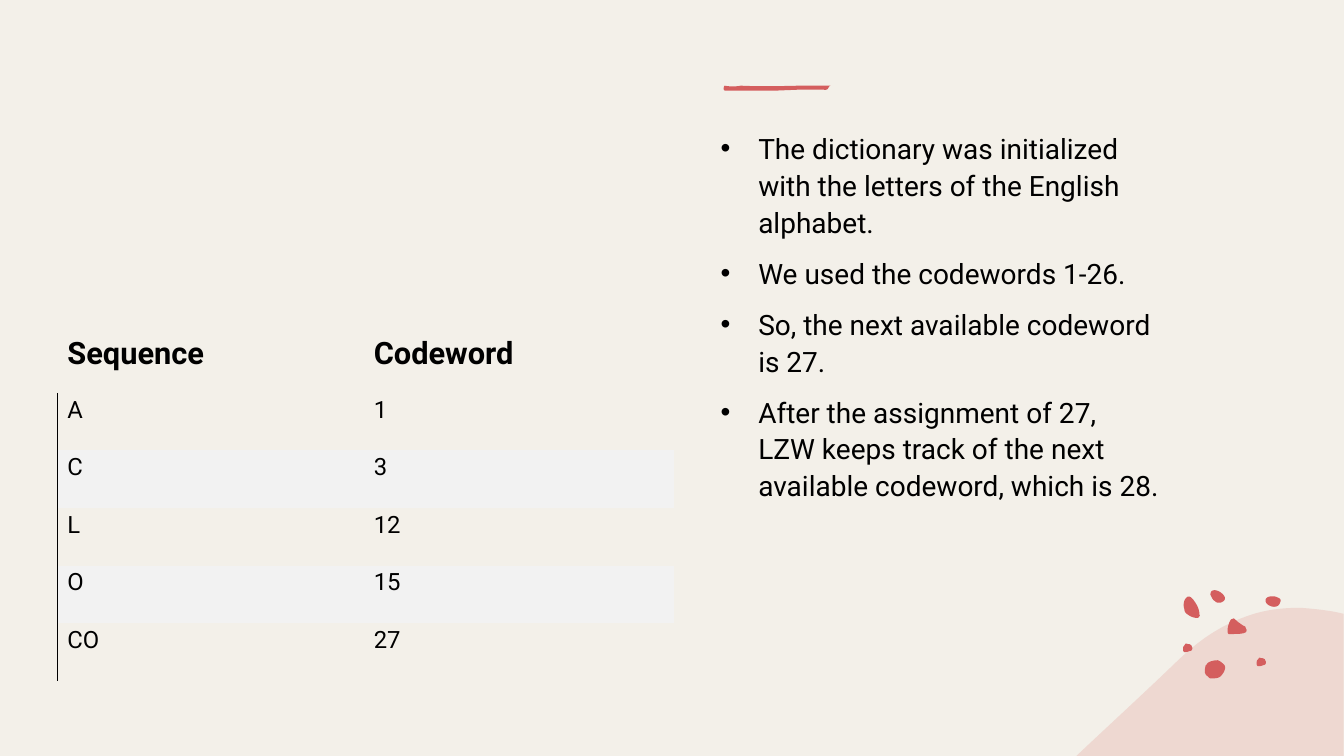
from lxml import etree
from pptx import Presentation
from pptx.dml.color import RGBColor
from pptx.enum.text import MSO_ANCHOR as ANCHOR
from pptx.oxml.ns import qn
from pptx.util import Cm, Pt

# Content
BULLETS = [
    "The dictionary was initialized with the letters of the English alphabet.",
    "We used the codewords 1-26.",
    "So, the next available codeword is 27.",
    "After the assignment of 27, LZW keeps track of the next available codeword, which is 28.",
]
CODEWORDS = [
    ("Sequence", "Codeword"),
    ("A", "1"),
    ("C", "3"),
    ("L", "12"),
    ("O", "15"),
    ("CO", "27"),
]

# Look
FONT = "Roboto"
BLACK = RGBColor(0x00, 0x00, 0x00)
CREAM = RGBColor(0xF3, 0xF0, 0xE9)
CORAL = RGBColor(0xD4, 0x5E, 0x5E)
BLUSH = RGBColor(0xEE, 0xD8, 0xD1)
BAND = RGBColor(0xF2, 0xF2, 0xF2)
NO_STYLE = "{2D5ABB26-0587-4C30-8999-92F81FD0307C}"

# Outlines: a start point, then lines (2 numbers) and Bézier curves (6 numbers)
UNIT = Cm(0.0254)
HILL = [(1290, 603), (1302, 604, 1315, 605, 1329, 608), (1333, 609), (1333, 750),
        (1068, 750), (1069, 749), (1104, 716, 1139, 684, 1170, 654),
        (1193, 632, 1215, 619, 1238, 611), (1255, 605, 1272, 603, 1290, 603)]
UNDERLINE = [(719, 85), (724, 86, 730, 86, 735, 85), (748, 85.5), (771, 85.5), (793, 85),
             (824, 85), (821, 86, 823, 90, 817, 89), (792, 89), (767, 90), (720, 90),
             (717, 90, 718, 86, 719, 85)]
PEBBLES = [
    [(1209, 598), (1210, 598, 1212, 598, 1213, 597), (1215, 596, 1216, 594, 1215, 592),
     (1214, 589, 1207, 584, 1203, 586), (1202, 586, 1201, 588, 1201, 590),
     (1202, 592, 1203, 595, 1205, 596), (1206, 597, 1207, 598, 1209, 598)],
    [(1187, 613), (1188, 613, 1190, 613, 1190, 611), (1191, 611, 1190, 610, 1190, 609),
     (1190, 604, 1187, 599, 1184, 595), (1182, 593, 1180, 590, 1177, 593),
     (1174, 596, 1174, 601, 1175, 604), (1175, 607, 1177, 609, 1179, 610),
     (1180, 611, 1184, 613, 1187, 613)],
    [(1264, 602), (1267, 602, 1269, 601, 1270, 598), (1271, 596, 1271, 594, 1268, 593),
     (1265, 591, 1258, 591, 1256, 594), (1255, 596, 1256, 598, 1257, 599),
     (1259, 601, 1262, 602, 1264, 602)],
    [(1196, 661), (1196, 662, 1194, 667, 1197, 670), (1200, 672, 1199, 673, 1202, 673),
     (1205, 673, 1209, 673, 1211, 671), (1213, 669, 1217, 664, 1215, 660),
     (1212, 657, 1211, 656, 1208, 655), (1205, 655, 1200, 656, 1198, 658),
     (1197, 660, 1196, 660, 1196, 661)],
    [(1224, 629), (1230, 629, 1240, 629, 1236, 623), (1236, 622, 1235, 621, 1234, 621),
     (1231, 619, 1228, 617, 1226, 615), (1225, 614, 1224, 613, 1223, 614),
     (1222, 614, 1221, 615, 1221, 615), (1219, 619, 1218, 622, 1218, 626),
     (1218, 627, 1218, 628, 1219, 629), (1224, 629)],
]
DOT = [(0, 3), (0, 3, -1, 7, 1, 8), (3, 8, 4, 8, 6, 7), (8, 7, 9, 6, 9, 4),
       (9, 3, 8, 2, 8, 1), (7, 1, 7, 0, 5, 0), (4, 0, 2, -1, 2, 0), (1, 2, 0, 2, 0, 3)]
DOT_PLACES = [(1247, 653), (1174, 639)]


def trace(outline, steps=8):
    points = [outline[0]]
    for seg in outline[1:]:
        if len(seg) == 2:
            points.append(seg)
            continue
        x0, y0 = points[-1]
        x1, y1, x2, y2, x3, y3 = seg
        for i in range(1, steps + 1):
            t = i / steps
            u = 1 - t
            a, b, c, d = u ** 3, 3 * u * u * t, 3 * u * t * t, t ** 3
            points.append((a * x0 + b * x1 + c * x2 + d * x3,
                           a * y0 + b * y1 + c * y2 + d * y3))
    return points


def add_outline(s, outline, color, dx=0, dy=0):
    points = [((x + dx) * UNIT, (y + dy) * UNIT) for x, y in trace(outline)]
    fb = s.shapes.build_freeform(*points[0])
    fb.add_line_segments(points[1:], close=True)
    sp = fb.convert_to_shape()
    sp.shadow.inherit = False
    sp.fill.solid()
    sp.fill.fore_color.rgb = color
    sp.line.fill.background()


def add_run(p, text, size, bold=False):
    r = p.add_run()
    r.text = text
    r.font.name, r.font.size, r.font.bold = FONT, Pt(size), bold
    r.font.color.rgb = BLACK


def add_bullet(p):
    pPr = p._p.get_or_add_pPr()
    pPr.set("marL", str(Cm(0.95)))
    pPr.set("indent", str(-Cm(0.95)))
    etree.SubElement(pPr, qn("a:buFont")).set("typeface", "Arial")
    etree.SubElement(pPr, qn("a:buChar")).set("char", "•")


def add_left_border(cell):
    ln = etree.Element(qn("a:lnL"), w=str(Pt(0.75)))
    fill = etree.SubElement(ln, qn("a:solidFill"))
    etree.SubElement(fill, qn("a:srgbClr")).set("val", str(BLACK))
    cell._tc.get_or_add_tcPr().insert(0, ln)


prs = Presentation()
prs.slide_width, prs.slide_height = Cm(33.87), Cm(19.05)
s = prs.slides.add_slide(prs.slide_layouts[6])
s.background.fill.solid()
s.background.fill.fore_color.rgb = CREAM

# Underline and bullet list
add_outline(s, UNDERLINE, CORAL)
tf = s.shapes.add_textbox(Cm(17.91), Cm(3.1), Cm(11.56), Cm(14.3)).text_frame
tf.word_wrap = True
for i, text in enumerate(BULLETS):
    p = tf.add_paragraph() if i else tf.paragraphs[0]
    p.line_spacing, p.space_before = 1.1, Pt(10)
    add_bullet(p)
    add_run(p, text, 20)

# Corner decoration
add_outline(s, HILL, BLUSH)
for pebble in PEBBLES:
    add_outline(s, pebble, CORAL)
for x, y in DOT_PLACES:
    add_outline(s, DOT, CORAL, x, y)

# Codeword table
frame = s.shapes.add_table(len(CODEWORDS), 2, Cm(1.45), Cm(8.23), Cm(15.54), Cm(8.92))
table = frame.table
table._tbl.tblPr.find(qn("a:tableStyleId")).text = NO_STYLE
table.horz_banding = False
table.columns[0].width, table.columns[1].width = Cm(7.72), Cm(7.82)
for i, words in enumerate(CODEWORDS):
    header = i == 0
    table.rows[i].height = Cm(1.67 if header else 1.45)
    for j, word in enumerate(words):
        cell = table.cell(i, j)
        cell.margin_left, cell.margin_top = Cm(0.25), Cm(0.08)
        cell.margin_right, cell.margin_bottom = Cm(0.36), Cm(0.53)
        cell.vertical_anchor = ANCHOR.BOTTOM if header else ANCHOR.TOP
        if i and i % 2 == 0:
            cell.fill.solid()
            cell.fill.fore_color.rgb = BAND
        else:
            cell.fill.background()
        if j == 0 and not header:
            add_left_border(cell)
        add_run(cell.text_frame.paragraphs[0], word, 22 if header else 17, header)

prs.save("out.pptx")
